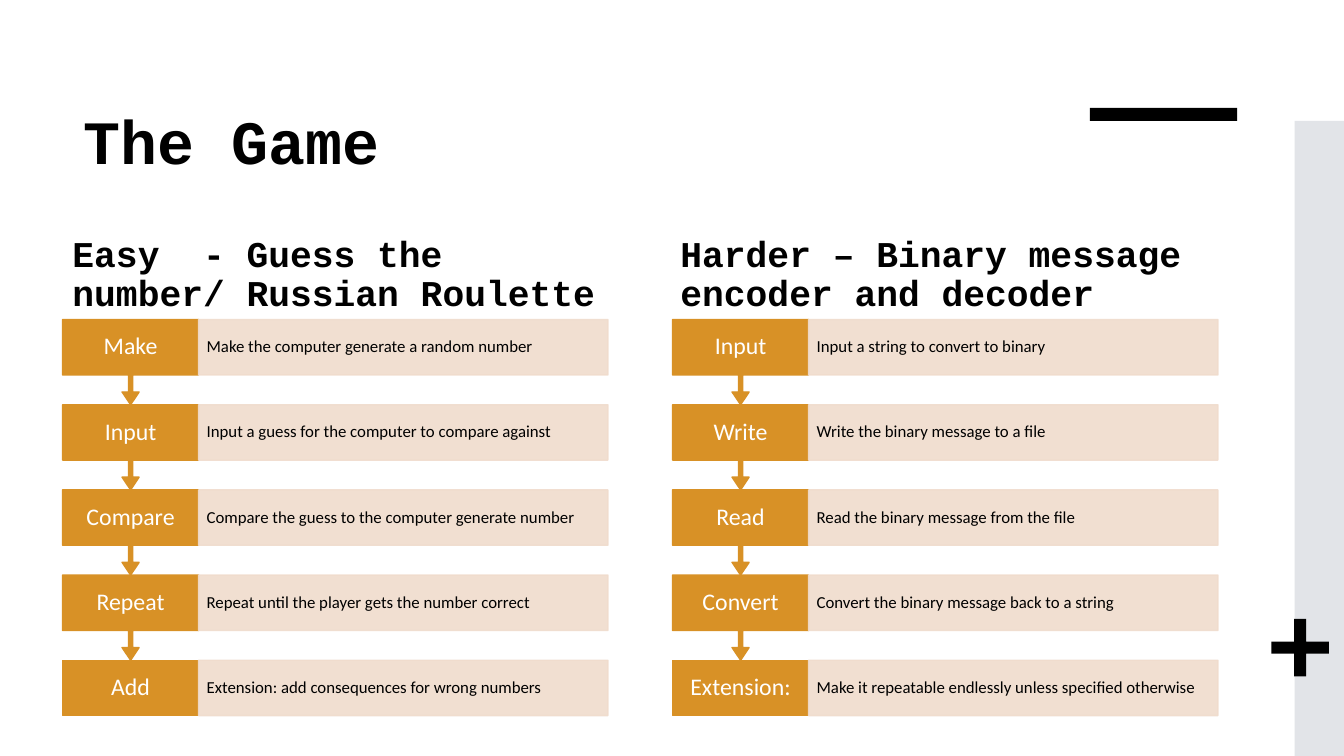
from lxml.etree import SubElement
from pptx import Presentation
from pptx.dml.color import RGBColor
from pptx.enum.shapes import MSO_SHAPE
from pptx.enum.text import MSO_ANCHOR, PP_ALIGN
from pptx.oxml.ns import qn
from pptx.util import Inches, Pt

BLACK, WHITE, GREY = "000000", "FFFFFF", "E2E4E8"
ORANGE, PEACH = "D89126", "F0DCCD"
TOP, LAST, ROW = 3.17, 6.55, 0.55
STEP, DETAIL = 1.35, 4.06

HEAD = dict(size=25.9, font="Courier New", bold=True, spacing=0.9,
            anchor=MSO_ANCHOR.BOTTOM)
TITLE = dict(size=44, font="Courier New", bold=True, align=PP_ALIGN.CENTER)
LABEL = dict(size=17, color=WHITE, align=PP_ALIGN.CENTER, spacing=0.9,
             inset=(0.1, 0.13))
NOTE = dict(size=12, spacing=0.9, inset=(0.08, 0.17))

EASY = [
    ("Make", "Make the computer generate a random number"),
    ("Input", "Input a guess for the computer to compare against"),
    ("Compare", "Compare the guess to the computer generate number"),
    ("Repeat", "Repeat until the player gets the number correct"),
    ("Add", "Extension: add consequences for wrong numbers"),
]
HARD = [
    ("Input", "Input a string to convert to binary"),
    ("Write", "Write the binary message to a file"),
    ("Read", "Read the binary message from the file"),
    ("Convert", "Convert the binary message back to a string"),
    ("Extension:", "Make it repeatable endlessly unless specified otherwise"),
]


def paint(fill, color, alpha=100):
    fill.solid()
    fill.fore_color.rgb = RGBColor.from_string(color)
    if alpha < 100:
        tint = fill._xPr.find(qn("a:solidFill"))[0]
        SubElement(tint, qn("a:alpha"), val=str(alpha * 1000))


def write(shape, text, size, font="Calibri", color=BLACK, bold=False,
          align=PP_ALIGN.LEFT, anchor=MSO_ANCHOR.MIDDLE, spacing=1.0,
          inset=(0.1, 0.05)):
    frame = shape.text_frame
    side, edge = map(Inches, inset)
    look = dict(word_wrap=True, vertical_anchor=anchor, margin_left=side,
                margin_right=side, margin_top=edge, margin_bottom=edge)
    for name, value in look.items():
        setattr(frame, name, value)
    para = frame.paragraphs[0]
    para.alignment, para.line_spacing = align, spacing
    run = para.add_run()
    run.text = text
    for name, value in dict(size=Pt(size), name=font, bold=bold).items():
        setattr(run.font, name, value)
    paint(run.font.fill, color)


def add_text(slide, box, text, style):
    write(slide.shapes.add_textbox(*map(Inches, box)), text, **style)


def add_block(slide, kind, box, color=None, alpha=100, line=False, adjust=()):
    shape = slide.shapes.add_shape(kind, *map(Inches, box))
    shape.shadow.inherit = False
    for i, value in enumerate(adjust):
        shape.adjustments[i] = value
    if color:
        paint(shape.fill, color, alpha)
    else:
        shape.fill.background()
    if line:
        paint(shape.line.fill, color, alpha)
        shape.line.width = Pt(1)
    else:
        shape.line.fill.background()
    return shape


def add_flow(slide, left, steps):
    """Stack the steps from the bottom up, so each arrow tip lies on top."""
    end = len(steps) - 1
    pitch = (LAST - TOP) / end
    for row in range(end, -1, -1):
        name, detail = steps[row]
        top = TOP + row * pitch
        if row == end:
            add_block(slide, MSO_SHAPE.RECTANGLE, (left, top, STEP, ROW),
                      ORANGE, line=True)
        else:
            arrow = add_block(slide, MSO_SHAPE.UP_ARROW_CALLOUT,
                              (left, top, STEP, pitch), ORANGE, line=True,
                              adjust=(0.05, 0.1, 0.15, 0.65))
            arrow.rotation = 180
        add_text(slide, (left, top, STEP, ROW), name, LABEL)
        bar = add_block(slide, MSO_SHAPE.RECTANGLE,
                        (left + STEP, top, DETAIL, ROW), PEACH, 90, line=True)
        write(bar, detail, **NOTE)


def main():
    deck = Presentation()
    deck.slide_width, deck.slide_height = Inches(13.33), Inches(7.5)
    slide = deck.slides.add_slide(deck.slide_layouts[6])
    paint(slide.background.fill, WHITE)

    add_block(slide, MSO_SHAPE.RECTANGLE, (12.84, 1.2, 0.49, 6.3), GREY)
    add_block(slide, MSO_SHAPE.RECTANGLE, (10.81, 1.07, 1.46, 0.13), BLACK)
    add_block(slide, MSO_SHAPE.CROSS, (12.61, 6.14, 0.57, 0.57), BLACK,
              adjust=[0.395])

    add_text(slide, (0.62, 2.27, 5.41, 0.9),
             "Easy  - Guess the number/ Russian Roulette", HEAD)
    add_flow(slide, 0.62, EASY)
    add_text(slide, (6.65, 2.27, 5.41, 0.9),
             "Harder – Binary message encoder and decoder", HEAD)
    add_flow(slide, 6.67, HARD)

    title = add_block(slide, MSO_SHAPE.ROUNDED_RECTANGLE,
                      (0.62, 0.94, 3.35, 0.9))
    write(title, "The Game", **TITLE)
    deck.save("out.pptx")


if __name__ == "__main__":
    main()
